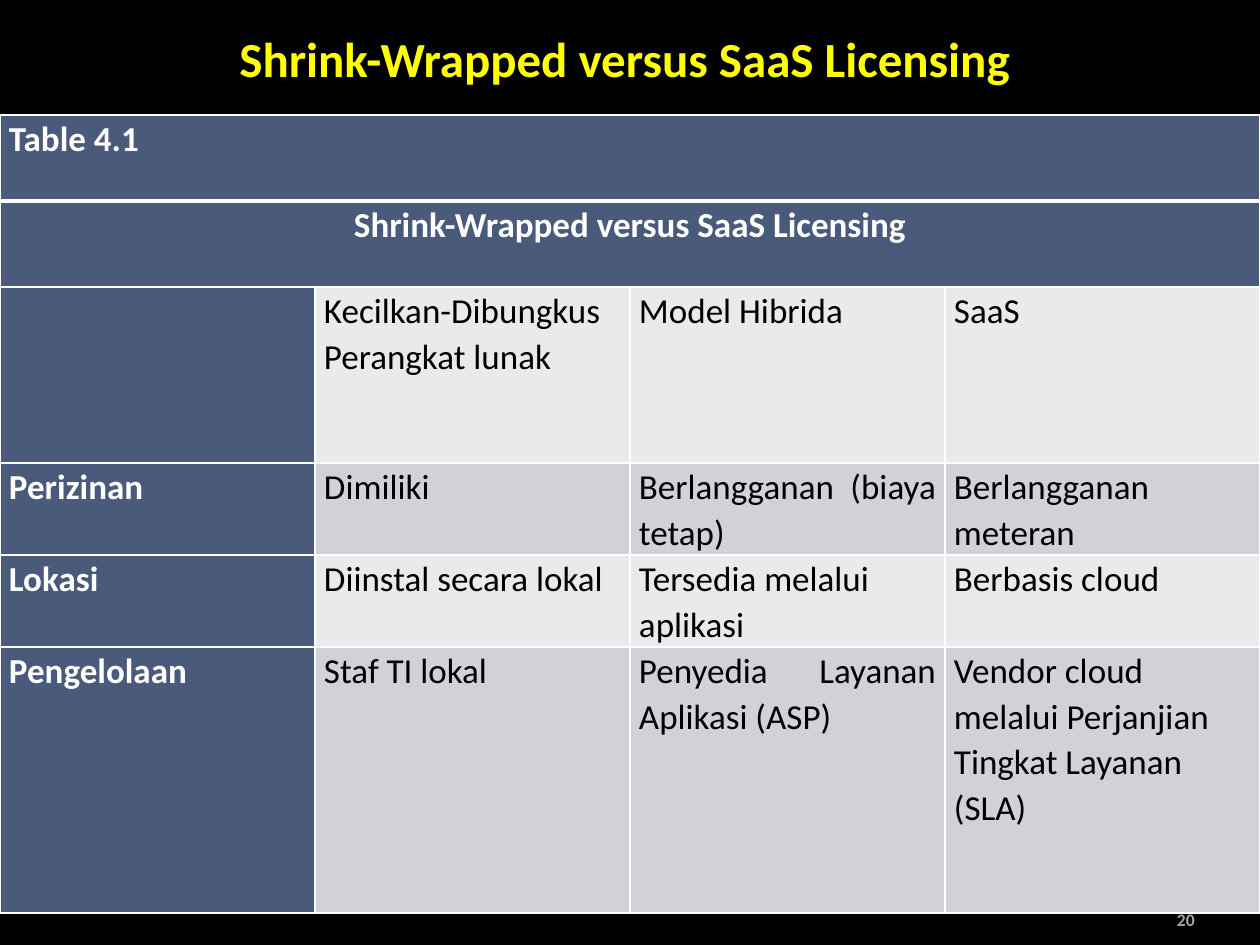
"""Build the slide comparing shrink-wrapped and SaaS licensing."""
from dataclasses import dataclass

from lxml import etree
from pptx import Presentation
from pptx import util as u
from pptx.dml.color import RGBColor
from pptx.enum import text as t
from pptx.oxml import ns

PX = 914400 / 126
TITLE = "Shrink-Wrapped versus SaaS Licensing"
HEADS = ["Table 4.1", TITLE]
ROWS = [
    ["", "Kecilkan-Dibungkus\nPerangkat lunak", "Model Hibrida", "SaaS"],
    ["Perizinan", "Dimiliki", "Berlangganan (biaya tetap)", "Berlangganan meteran"],
    ["Lokasi", "Diinstal secara lokal", "Tersedia melalui aplikasi", "Berbasis cloud"],
    ["Pengelolaan", "Staf TI lokal", "Penyedia Layanan Aplikasi (ASP)",
     "Vendor cloud melalui Perjanjian Tingkat Layanan (SLA)"],
]
HIGHS = [86, 86, 176, 92, 92, 266]
LEFT = {"Tersedia melalui aplikasi", ROWS[-1][-1]}


@dataclass(frozen=True)
class Theme:
    font: str = "Calibri"
    back: str = "000000"
    ink: str = "000000"
    white: str = "FFFFFF"
    title: str = "FFFF00"
    page: str = "A6A6A6"
    head: str = "4A5A7A"
    bands: tuple = ("E9EAEC", "D0D2D7")
    big: int = 28
    body: int = 20
    small: int = 10


def emu(px):
    return u.Emu(round(px * PX))


class Deck:
    def __init__(self, theme):
        self.theme = theme
        self.prs = Presentation()
        self.prs.slide_width, self.prs.slide_height = emu(1260), emu(945)
        self.slide = self.prs.slides.add_slide(self.prs.slide_layouts[5])
        self.paint(self.slide.background.fill, theme.back)

    def paint(self, fill, color):
        fill.solid()
        fill.fore_color.rgb = RGBColor.from_string(color)

    def words(self, frame, words, size, color, bold, align, gap=None):
        frame.text = words
        frame.word_wrap = True
        for para in frame.paragraphs:
            para.alignment = align
            if gap:
                para.line_spacing = gap
            for run in para.runs:
                font = run.font
                font.name, font.size, font.bold = self.theme.font, u.Pt(size), bold
                font.color.rgb = RGBColor.from_string(color)

    def title(self, words, *box):
        shape = self.slide.shapes.title
        shape.left, shape.top, shape.width, shape.height = map(emu, box)
        frame = shape.text_frame
        self.words(frame, words, self.theme.big, self.theme.title, True, t.PP_ALIGN.CENTER)
        frame.auto_size = t.MSO_AUTO_SIZE.NONE
        frame.vertical_anchor = t.MSO_ANCHOR.BOTTOM
        frame.paragraphs[0].space_before = u.Pt(4)

    def label(self, words, *box):
        frame = self.slide.shapes.add_textbox(*map(emu, box)).text_frame
        self.words(frame, words, self.theme.small, self.theme.page, True, t.PP_ALIGN.RIGHT)
        frame.vertical_anchor = t.MSO_ANCHOR.MIDDLE

    def edge(self, cell, sides):
        props = cell._tc.get_or_add_tcPr()
        for spot, (side, width) in enumerate(sides.items()):
            line = etree.Element(ns.qn(f"a:ln{side}"), w=str(u.Pt(width)))
            fill = etree.SubElement(line, ns.qn("a:solidFill"))
            etree.SubElement(fill, ns.qn("a:srgbClr"), val=self.theme.white)
            props.insert(spot, line)

    def cell(self, cell, words, fill, color, bold, align):
        cell.margin_left = cell.margin_right = emu(9)
        cell.margin_top = cell.margin_bottom = 0
        self.paint(cell.fill, fill)
        self.words(cell.text_frame, words, self.theme.body, color, bold, align, 1.07)

    def table(self, heads, rows, highs, *box):
        look = self.theme
        cols = len(rows[0])
        grid = self.slide.shapes.add_table(len(highs), cols, *map(emu, box)).table
        for row, high in zip(grid.rows, highs):
            row.height = emu(high)
        for y, words in enumerate(heads):
            grid.cell(y, 0).merge(grid.cell(y, cols - 1))
            align = t.PP_ALIGN.CENTER if y else t.PP_ALIGN.JUSTIFY
            self.cell(grid.cell(y, 0), words, look.head, look.white, True, align)
        for y, row in enumerate(rows):
            for x, words in enumerate(row):
                fill, color = (look.bands[y % 2], look.ink) if x else (look.head, look.white)
                align = t.PP_ALIGN.LEFT if words in LEFT else t.PP_ALIGN.JUSTIFY
                self.cell(grid.cell(y + len(heads), x), words, fill, color, not x, align)
        for y in range(len(highs)):
            for x in range(cols):
                self.edge(grid.cell(y, x), {"L": 1, "R": 1, "T": 3 if y == 1 else 1,
                                            "B": 1 if y else 3})


def main():
    deck = Deck(Theme())
    deck.table(HEADS, ROWS, HIGHS, 0, 115, 1260, sum(HIGHS))
    deck.label("20", 1086, 902, 121, 34)
    deck.title(TITLE, 10, 21, 1229, 73)
    deck.prs.save("out.pptx")


if __name__ == "__main__":
    main()
